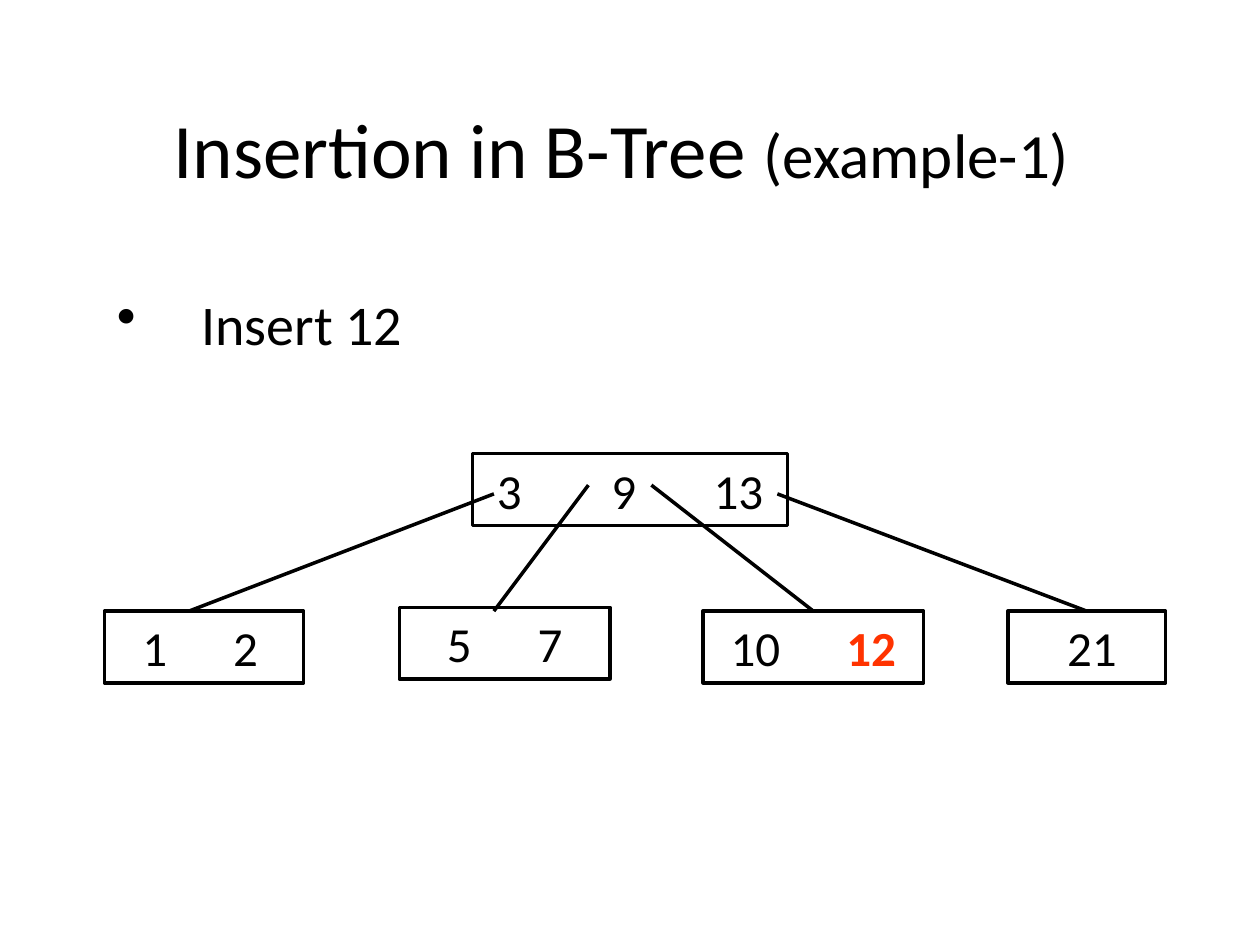
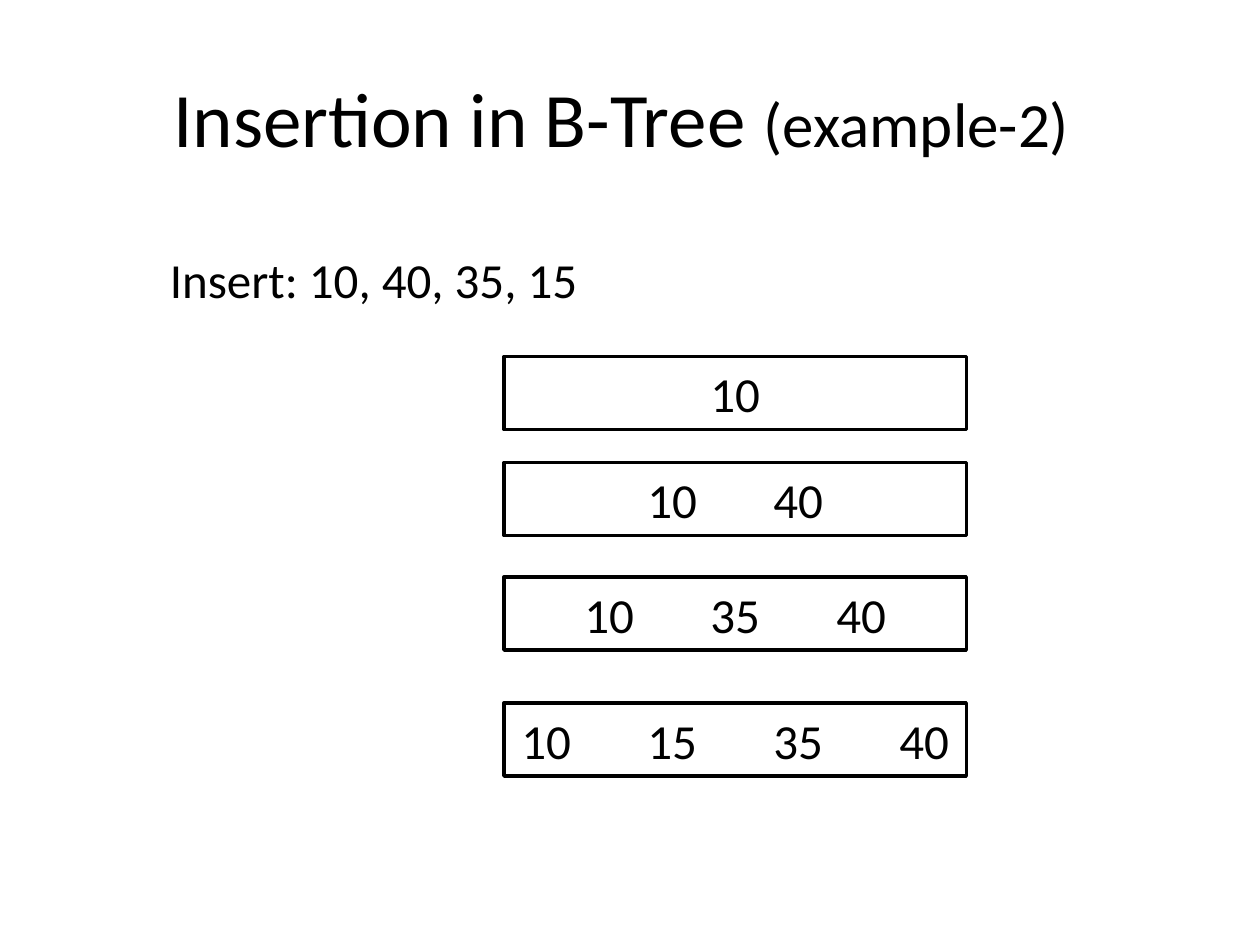
from lxml import etree
from pptx import Presentation
from pptx.dml.color import RGBColor
from pptx.enum.shapes import MSO_CONNECTOR, MSO_SHAPE
from pptx.enum.text import MSO_ANCHOR, PP_ALIGN
from pptx.oxml.ns import qn
from pptx.util import Inches, Pt

CENTER, LEFT = PP_ALIGN.CENTER, PP_ALIGN.LEFT
MIDDLE = MSO_ANCHOR.MIDDLE
RECTANGLE = MSO_SHAPE.RECTANGLE
STRAIGHT = MSO_CONNECTOR.STRAIGHT
TOP_SIDE = 0

FONT = "Calibri"
BLACK, NEW_KEY_COLOR = "000000", "FF3300"
LINE_WIDTH = 2
KEY_SIZE = 28
INSET = 0.1

TITLE = "Insertion in B-Tree "
EXAMPLES = [
    ("(example-1)", (0.75, 0.67, 8.5, 1)),
    ("(example-2)", (0.5, 0.3, 9, 1.25)),
]

NODE_HEIGHT = 0.57
ROOT = {"keys": ["3", "9", "13"], "place": (3.75, 3.6, 2.5), "stops": [0.91, 1.72]}
LEAVES = [
    {"keys": ["1", "2"], "place": (0.83, 4.85, 1.58), "stops": [0.72], "shift": -0.03,
     "link": ((3.92, 3.92), (1.5, 4.85))},
    {"keys": ["5", "7"], "place": (3.17, 4.82, 1.67), "stops": [0.72],
     "link": ((4.67, 3.85), (3.92, 4.85))},
    {"keys": ["10", "12"], "place": (5.58, 4.85, 1.75), "stops": [0.92], "new": "12",
     "link": ((5.17, 3.85), None)},
    {"keys": ["21"], "place": (8, 4.85, 1.25), "stops": [], "shift": 0.04,
     "link": ((6.17, 3.92), None)},
]

STEP_LEFT, STEP_WIDTH, STEP_HEIGHT = 4, 3.67, 0.58
STEPS = [
    (2.83, ["10"]),
    (3.67, ["10", "40"]),
    (4.58, ["10", "35", "40"]),
    (5.58, ["10", "15", "35", "40"]),
]


def color(value):
    return RGBColor.from_string(value)


def style(paragraph, size=None, align=LEFT):
    paragraph.alignment = align
    paragraph.font.name = FONT
    paragraph.font.color.rgb = color(BLACK)
    if size:
        paragraph.font.size = Pt(size)


def add_text(slide, place, runs, size=None, align=LEFT):
    frame = slide.shapes.add_textbox(*map(Inches, place)).text_frame
    frame.word_wrap = True
    paragraph = frame.paragraphs[0]
    for text, run_size in runs:
        run = paragraph.add_run()
        run.text = text
        if run_size:
            run.font.size = Pt(run_size)
    style(paragraph, size, align)
    return frame


def add_title(slide, example, place):
    runs = [(TITLE, 44), (example, 36), (" ", 44)]
    add_text(slide, place, runs, align=CENTER).vertical_anchor = MIDDLE


def add_bullet(slide, place, text, size, indent):
    paragraph = add_text(slide, place, []).paragraphs[0]
    properties = paragraph._p.get_or_add_pPr()
    properties.set("marL", str(Inches(indent)))
    properties.set("indent", str(-Inches(indent)))
    bullet = etree.Element(qn("a:buChar"), char="•")
    properties.insert(0, bullet)
    paragraph.add_run().text = text
    style(paragraph, size)


def add_node(slide, place, keys, stops, shift=0, new=None):
    node = slide.shapes.add_shape(RECTANGLE, *map(Inches, place))
    node.shadow.inherit = False
    node.fill.background()
    node.line.color.rgb = color(BLACK)
    node.line.width = Pt(LINE_WIDTH)
    frame = node.text_frame
    frame.word_wrap = True
    frame.margin_left = Inches(INSET + max(2 * shift, 0))
    frame.margin_right = Inches(INSET + max(-2 * shift, 0))
    paragraph = frame.paragraphs[0]
    if stops:
        tabs = etree.SubElement(paragraph._p.get_or_add_pPr(), qn("a:tabLst"))
        for stop in stops:
            etree.SubElement(tabs, qn("a:tab"), pos=str(Inches(stop)), algn="l")
    for index, key in enumerate(keys):
        run = paragraph.add_run()
        run.text = "\t" + key if index else key
        if key == new:
            run.font.bold = True
            run.font.color.rgb = color(NEW_KEY_COLOR)
    style(paragraph, KEY_SIZE, CENTER)
    return node


def add_link(slide, start, end, leaf):
    points = map(Inches, start + (end or start))
    link = slide.shapes.add_connector(STRAIGHT, *points)
    if end is None:
        link.end_connect(leaf, TOP_SIDE)
    link.line.color.rgb = color(BLACK)
    link.line.width = Pt(LINE_WIDTH)
    etree.SubElement(link._element.spPr, qn("a:effectLst"))


def add_tree_node(slide, node):
    return add_node(slide, node["place"] + (NODE_HEIGHT,), node["keys"],
                    node["stops"], node.get("shift", 0), node.get("new"))


def build_tree(slide):
    add_tree_node(slide, ROOT)
    for leaf in LEAVES:
        add_link(slide, *leaf["link"], add_tree_node(slide, leaf))
    add_bullet(slide, (0.83, 2.25, 2.6, 0.64), "Insert 12", 32, 0.67)


def build_steps(slide):
    add_text(slide, (1.25, 1.93, 3.57, 0.57),
             [("Insert: 10, 40, 35, 15", None)], KEY_SIZE)
    for top, keys in STEPS:
        place = (STEP_LEFT, top, STEP_WIDTH, STEP_HEIGHT)
        add_node(slide, place, keys, range(1, len(keys)))


def main():
    presentation = Presentation()
    presentation.slide_width = Inches(10)
    presentation.slide_height = Inches(7.5)
    blank = presentation.slide_layouts[6]
    for (example, place), build in zip(EXAMPLES, (build_tree, build_steps)):
        slide = presentation.slides.add_slide(blank)
        add_title(slide, example, place)
        build(slide)
    presentation.save("out.pptx")


if __name__ == "__main__":
    main()
